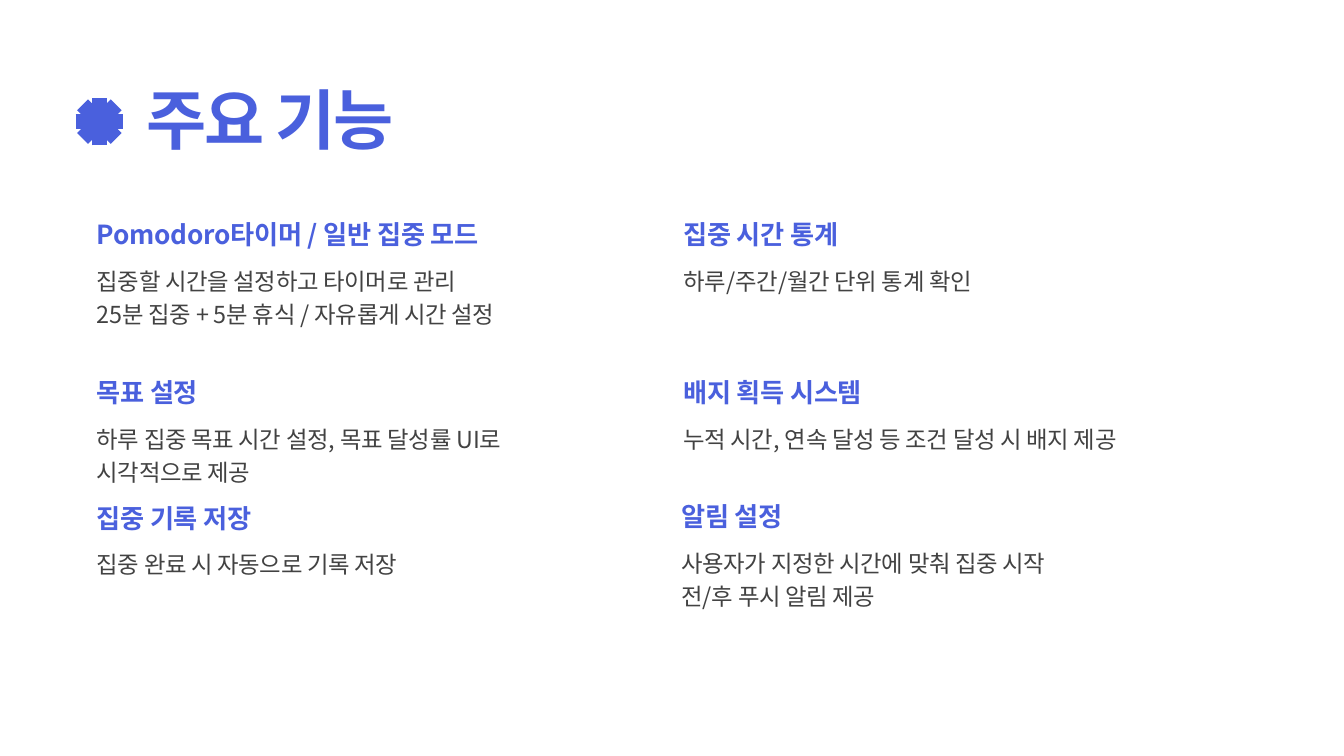
"""Build the slide that lists the main features of a focus timer app."""
from lxml import etree
from pptx import Presentation
from pptx.dml.color import RGBColor
from pptx.enum import shapes, text
from pptx.oxml import ns
from pptx.util import Pt

FONT = "Noto Sans CJK KR"
BLUE = "4A60DD"
GRAY = "424242"


def color(hex_string):
    return RGBColor.from_string(hex_string)


def write(shape, lines, size, line_height, hex_string, bold, tracking):
    frame = shape.text_frame
    frame.margin_left = frame.margin_top = frame.margin_right = frame.margin_bottom = 0
    frame.word_wrap = True
    frame.auto_size = text.MSO_AUTO_SIZE.SHAPE_TO_FIT_TEXT
    frame.vertical_anchor = text.MSO_ANCHOR.TOP
    paragraph = frame.paragraphs[0]
    paragraph.alignment = text.PP_ALIGN.LEFT
    paragraph.line_spacing = Pt(line_height)
    for index, line in enumerate(lines):
        if index:
            paragraph.add_line_break()
        run = paragraph.add_run()
        run.text = line
        run.font.size = Pt(size)
        run.font.bold = bold
        run.font.color.rgb = color(hex_string)
        run.font.name = FONT
        properties = run.font._element
        properties.set("spc", str(tracking))
        etree.SubElement(properties, ns.qn("a:ea"), typeface=FONT)


presentation = Presentation()
presentation.slide_width = Pt(960)
presentation.slide_height = Pt(540)
slide = presentation.slides.add_slide(presentation.slide_layouts[5])

title = slide.shapes.title
title.left, title.top, title.width, title.height = Pt(104.4), Pt(66.2), Pt(765.4), Pt(47.5)
write(title, ["주요 기능"], 46.7, 46.7, BLUE, True, -140)

features = [
    (69.1, 152.6, 367, "Pomodoro타이머 / 일반 집중 모드",
     ["집중할 시간을 설정하고 타이머로 관리", "25분 집중 + 5분 휴식 / 자유롭게 시간 설정"]),
    (488.2, 152.6, 405, "집중 시간 통계", ["하루/주간/월간 단위 통계 확인"]),
    (69.1, 265.5, 367, "목표 설정",
     ["하루 집중 목표 시간 설정, 목표 달성률 UI로", "시각적으로 제공"]),
    (488.2, 265.5, 405, "배지 획득 시스템",
     ["누적 시간, 연속 달성 등 조건 달성 시 배지 제공"]),
    (69.1, 355, 367, "집중 기록 저장", ["집중 완료 시 자동으로 기록 저장"]),
    (486.7, 354, 405, "알림 설정",
     ["사용자가 지정한 시간에 맞춰 집중 시작 ", "전/후 푸시 알림 제공"]),
]
for left, top, width, heading, description in features:
    heading_box = slide.shapes.add_textbox(Pt(left), Pt(top), Pt(320), Pt(24))
    write(heading_box, [heading], 18.7, 25.9, BLUE, True, -20)
    height = 20 + 23.3 * (len(description) - 1)
    description_box = slide.shapes.add_textbox(Pt(left), Pt(top + 35), Pt(width), Pt(height))
    write(description_box, description, 16.7, 23.3, GRAY, False, -20)

center_x, center_y = 71, 86.9
star = slide.shapes.add_group_shape()
for reach_x, reach_y in [(17, 0), (0, -17), (12, -12), (-12, -12)]:
    ray = star.shapes.add_connector(
        shapes.MSO_CONNECTOR.STRAIGHT,
        Pt(center_x - reach_x), Pt(center_y - reach_y),
        Pt(center_x + reach_x), Pt(center_y + reach_y))
    ray.line.color.rgb = color(BLUE)
    ray.line.width = Pt(11)
    etree.SubElement(ray._element.spPr, ns.qn("a:effectLst"))

presentation.save("out.pptx")
